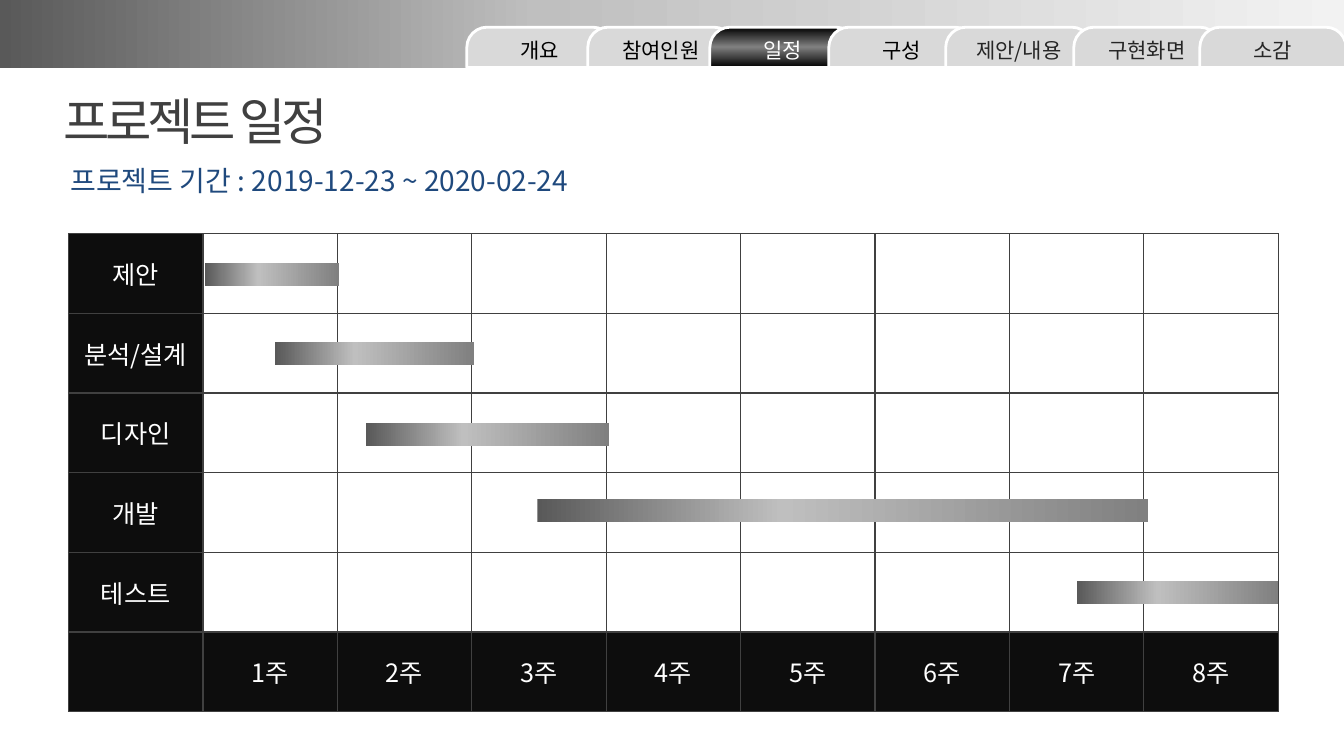
from copy import deepcopy

from lxml import etree
from pptx import Presentation
from pptx.dml.color import RGBColor
from pptx.enum.shapes import MSO_SHAPE
from pptx.enum.text import MSO_ANCHOR, PP_ALIGN
from pptx.oxml.ns import qn
from pptx.util import Inches, Pt

RECT, TAB = MSO_SHAPE.RECTANGLE, MSO_SHAPE.ROUND_2_SAME_RECTANGLE
MIDDLE, TOP = MSO_ANCHOR.MIDDLE, MSO_ANCHOR.TOP
CENTER, LEFT = PP_ALIGN.CENTER, PP_ALIGN.LEFT

# Content
TITLE = "프로젝트 일정"
PERIOD = "프로젝트 기간 : 2019-12-23 ~ 2020-02-24"
# label, left edge, text style
TABS = [
    ("개요", 4.63, "tab"),
    ("참여인원", 5.83, "tab"),
    ("일정", 7.04, "active_tab"),
    ("구성", 8.22, "tab"),
    ("제안/내용", 9.38, "later_tab"),
    ("구현화면", 10.65, "later_tab"),
    ("소감", 11.9, "later_tab"),
]
# phase, then left, top and width of its bar
PHASES = [
    ("제안", 2.03, 2.61, 1.33),
    ("분석/설계", 2.73, 3.39, 1.97),
    ("디자인", 3.63, 4.2, 2.41),
    ("개발", 5.33, 4.95, 6.06),
    ("테스트", 10.68, 5.76, 2),
]
WEEKS = [f"{number}주" for number in range(1, 9)]

# Theme
THEME = {
    "font": "Noto Sans CJK KR",
    "white": "FFFFFF",
    "tab": "D9D9D9",
    "header": "0D0D0D",
    "border": "404040",
    "banner": [(0, "595959"), (0.4, "BFBFBF"), (1, "F2F2F2")],
    "bar": [(0, "595959"), (0.4, "BFBFBF"), (1, "808080")],
    "active": [(0, "000000"), (0.51, "808080"), (1, "000000")],
    # size, colour
    "text": {
        "title": (36, "404040"),
        "period": (20, "1F497D"),
        "cell": (18, "FFFFFF"),
        "tab": (15, "000000"),
        "active_tab": (15, "FFFFFF"),
        "later_tab": (15, "262626"),
    },
}

# Layout
TABLE_BOX = (0.68, 2.32, 12, 4.74)
BAR_HEIGHT = 0.23
TAB_TOP, TAB_WIDTH, TAB_HEIGHT = 0.27, 1.45, 0.4


def color(value):
    return RGBColor.from_string(value)


def write(frame, text, style, align=LEFT):
    size, ink = THEME["text"][style]
    para = frame.paragraphs[0]
    para.alignment = align
    span = para.add_run()
    span.text = text
    for name, value in {"size": Pt(size), "name": THEME["font"]}.items():
        setattr(span.font, name, value)
    span.font.color.rgb = color(ink)
    properties = span._r.get_or_add_rPr()
    etree.SubElement(properties, qn("a:ea")).set("typeface", THEME["font"])
    return properties


def paint(shape, fill, angle=0):
    if isinstance(fill, str):
        shape.fill.solid()
        shape.fill.fore_color.rgb = color(fill)
        return
    shape.fill.gradient()
    shape.fill.gradient_angle = angle
    stop_list = shape._element.spPr.find(qn("a:gradFill")).find(qn("a:gsLst"))
    stop_list.append(deepcopy(stop_list[-1]))
    for stop, (position, value) in zip(shape.fill.gradient_stops, fill):
        stop.position = position
        stop.color.rgb = color(value)


def add_block(page, kind, box, fill, angle=0):
    shape = page.shapes.add_shape(kind, *map(Inches, box))
    shape.shadow.inherit = False
    shape.line.fill.background()
    paint(shape, fill, angle)
    return shape


def add_text(page, box, text, style, wrap, anchor):
    frame = page.shapes.add_textbox(*map(Inches, box)).text_frame
    for name, value in {"word_wrap": wrap, "vertical_anchor": anchor}.items():
        setattr(frame, name, value)
    return write(frame, text, style)


def add_borders(cell):
    properties = cell._tc.get_or_add_tcPr()
    for index, side in enumerate(("lnL", "lnR", "lnT", "lnB")):
        line = etree.Element(qn(f"a:{side}"), w=str(Pt(1)))
        solid = etree.SubElement(line, qn("a:solidFill"))
        etree.SubElement(solid, qn("a:srgbClr"), val=THEME["border"])
        properties.insert(index, line)


def add_schedule(page):
    rows = [[phase[0]] + [""] * len(WEEKS) for phase in PHASES] + [[""] + WEEKS]
    row_count, column_count = len(rows), len(rows[0])
    table = page.shapes.add_table(
        row_count, column_count, *map(Inches, TABLE_BOX)).table
    table.first_row = table.horz_banding = False
    for column in table.columns:
        column.width = Inches(TABLE_BOX[2] / column_count)
    for row in table.rows:
        row.height = Inches(TABLE_BOX[3] / row_count)
    for row_index, labels in enumerate(rows):
        for column_index, label in enumerate(labels):
            cell = table.cell(row_index, column_index)
            cell.vertical_anchor = MIDDLE
            if column_index == 0 or row_index == row_count - 1:
                cell.fill.solid()
                cell.fill.fore_color.rgb = color(THEME["header"])
            else:
                cell.fill.background()
            if label:
                write(cell.text_frame, label, "cell", CENTER)
            add_borders(cell)


def add_tab(page, label, left, style):
    active = style == "active_tab"
    tab = add_block(page, TAB, (left, TAB_TOP, TAB_WIDTH, TAB_HEIGHT),
                    THEME["active" if active else "tab"], 90)
    tab.adjustments[0], tab.adjustments[1] = 0.5, 0
    tab.line.color.rgb = color(THEME["white"])
    tab.line.width = Pt(2)
    tab.text_frame.vertical_anchor = MIDDLE
    write(tab.text_frame, label, style, CENTER)


def main():
    deck = Presentation()
    deck.slide_width, deck.slide_height = Inches(13.33), Inches(7.5)
    page = deck.slides.add_slide(deck.slide_layouts[6])

    # Banner and headings
    add_block(page, RECT, (0, -0.01, 13.33, 0.68), THEME["banner"])
    title = add_text(page, (0.53, 0.84, 3.08, 0.71), TITLE, "title", False, TOP)
    title.set("spc", "-300")
    add_text(page, (0.6, 1.62, 8.46, 0.33), PERIOD, "period", True, MIDDLE)

    # Schedule table with its bars
    add_schedule(page)
    for _, left, top, width in PHASES:
        add_block(page, RECT, (left, top, width, BAR_HEIGHT), THEME["bar"])

    # Navigation tabs
    for label, left, style in TABS:
        add_tab(page, label, left, style)

    deck.save("out.pptx")


if __name__ == "__main__":
    main()
